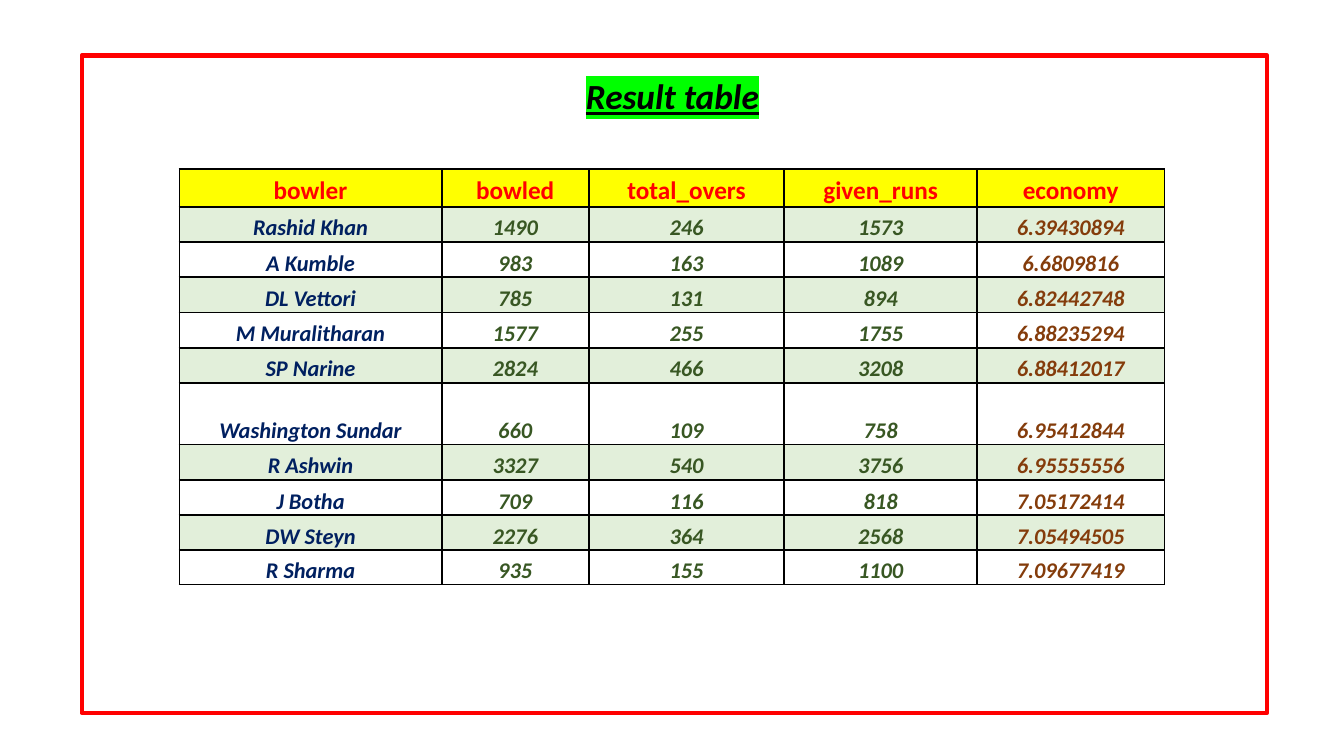
from dataclasses import dataclass

from lxml import etree
from pptx import Presentation
from pptx.dml.color import RGBColor
from pptx.enum.shapes import MSO_SHAPE
from pptx.enum.text import MSO_ANCHOR, PP_ALIGN
from pptx.oxml.ns import qn
from pptx.util import Inches, Pt

RECT = MSO_SHAPE.RECTANGLE
MIDDLE, BOTTOM = MSO_ANCHOR.MIDDLE, MSO_ANCHOR.BOTTOM
CENTER = PP_ALIGN.CENTER


@dataclass(frozen=True)
class Theme:
    face: str = "Calibri"
    black: str = "000000"
    red: str = "FF0000"
    yellow: str = "FFFF00"
    lime: str = "00FF00"
    band: str = "E2EFDA"
    navy: str = "002060"
    green: str = "385723"
    brown: str = "843C0B"
    title: float = 25.2
    head: float = 18
    body: float = 16
    border: float = 1.5
    frame: float = 3


THEME = Theme()

HEADS = ["bowler", "bowled", "total_overs", "given_runs", "economy"]
BOWLERS = [
    ("Rashid Khan", "1490", "246", "1573", "6.39430894"),
    ("A Kumble", "983", "163", "1089", "6.6809816"),
    ("DL Vettori", "785", "131", "894", "6.82442748"),
    ("M Muralitharan", "1577", "255", "1755", "6.88235294"),
    ("SP Narine", "2824", "466", "3208", "6.88412017"),
    ("Washington Sundar", "660", "109", "758", "6.95412844"),
    ("R Ashwin", "3327", "540", "3756", "6.95555556"),
    ("J Botha", "709", "116", "818", "7.05172414"),
    ("DW Steyn", "2276", "364", "2568", "7.05494505"),
    ("R Sharma", "935", "155", "1100", "7.09677419"),
]
WIDTHS = [2.6, 1.46, 1.94, 1.91, 1.86]
HEIGHTS = [0.37] + [0.35] * 5 + [0.61] + [0.35] * 3 + [0.34]
INKS = [THEME.navy] + [THEME.green] * 3 + [THEME.brown]


def style(para, size, color, italic=True):
    para.alignment = CENTER
    font = para.font
    font.name, font.size = THEME.face, Pt(size)
    font.bold, font.italic = True, italic
    font.color.rgb = RGBColor.from_string(color)


def add_color(parent, tag, color):
    node = etree.SubElement(parent, qn(tag))
    etree.SubElement(node, qn("a:srgbClr"), val=color)


def add_title(slide, text):
    box = slide.shapes.add_textbox(
        Inches(0.92), Inches(0.72), Inches(11.5), Inches(0.51))
    frame = box.text_frame
    frame.word_wrap = True
    frame.vertical_anchor = MIDDLE
    para = frame.paragraphs[0]
    run = para.add_run()
    run.text = text
    para.line_spacing = 0.9
    style(para, THEME.title, THEME.black)
    para.font.underline = True
    mark = etree.SubElement(run.font._element, qn("a:highlight"))
    etree.SubElement(mark, qn("a:srgbClr"), val=THEME.lime)


def add_borders(cell):
    props = cell._tc.get_or_add_tcPr()
    for side in ("a:lnL", "a:lnR", "a:lnT", "a:lnB"):
        line = etree.SubElement(props, qn(side), w=str(Pt(THEME.border)))
        add_color(line, "a:solidFill", THEME.black)


def fill_cell(cell, text, size, ink, back, italic):
    """Write one table cell; back is None for a clear cell."""
    cell.text = text
    cell.vertical_anchor = BOTTOM
    cell.margin_left = cell.margin_right = cell.margin_top = Inches(0.01)
    cell.margin_bottom = 0
    style(cell.text_frame.paragraphs[0], size, ink, italic)
    add_borders(cell)
    if back:
        cell.fill.solid()
        cell.fill.fore_color.rgb = RGBColor.from_string(back)
    else:
        cell.fill.background()


def add_results(slide):
    table = slide.shapes.add_table(
        len(HEIGHTS), len(WIDTHS), Inches(1.78), Inches(1.68),
        Inches(sum(WIDTHS)), Inches(sum(HEIGHTS))).table
    table.first_row = table.horz_banding = False
    for col, width in zip(table.columns, WIDTHS):
        col.width = Inches(width)
    for row, height in zip(table.rows, HEIGHTS):
        row.height = Inches(height)
    for c, head in enumerate(HEADS):
        fill_cell(table.cell(0, c), head, THEME.head, THEME.red,
                  THEME.yellow, False)
    for r, bowler in enumerate(BOWLERS, 1):
        back = THEME.band if r % 2 else None
        for c, (text, ink) in enumerate(zip(bowler, INKS)):
            fill_cell(table.cell(r, c), text, THEME.body, ink, back, True)


def add_frame(slide):
    rect = slide.shapes.add_shape(
        RECT, Inches(0.81), Inches(0.55), Inches(11.76), Inches(6.52))
    rect.shadow.inherit = False
    rect.fill.background()
    rect.line.color.rgb = RGBColor.from_string(THEME.red)
    rect.line.width = Pt(THEME.frame)


def main():
    deck = Presentation()
    deck.slide_width, deck.slide_height = Inches(13.33), Inches(7.5)
    slide = deck.slides.add_slide(deck.slide_layouts[6])
    add_title(slide, "Result table")
    add_results(slide)
    add_frame(slide)
    deck.save("out.pptx")


if __name__ == "__main__":
    main()
